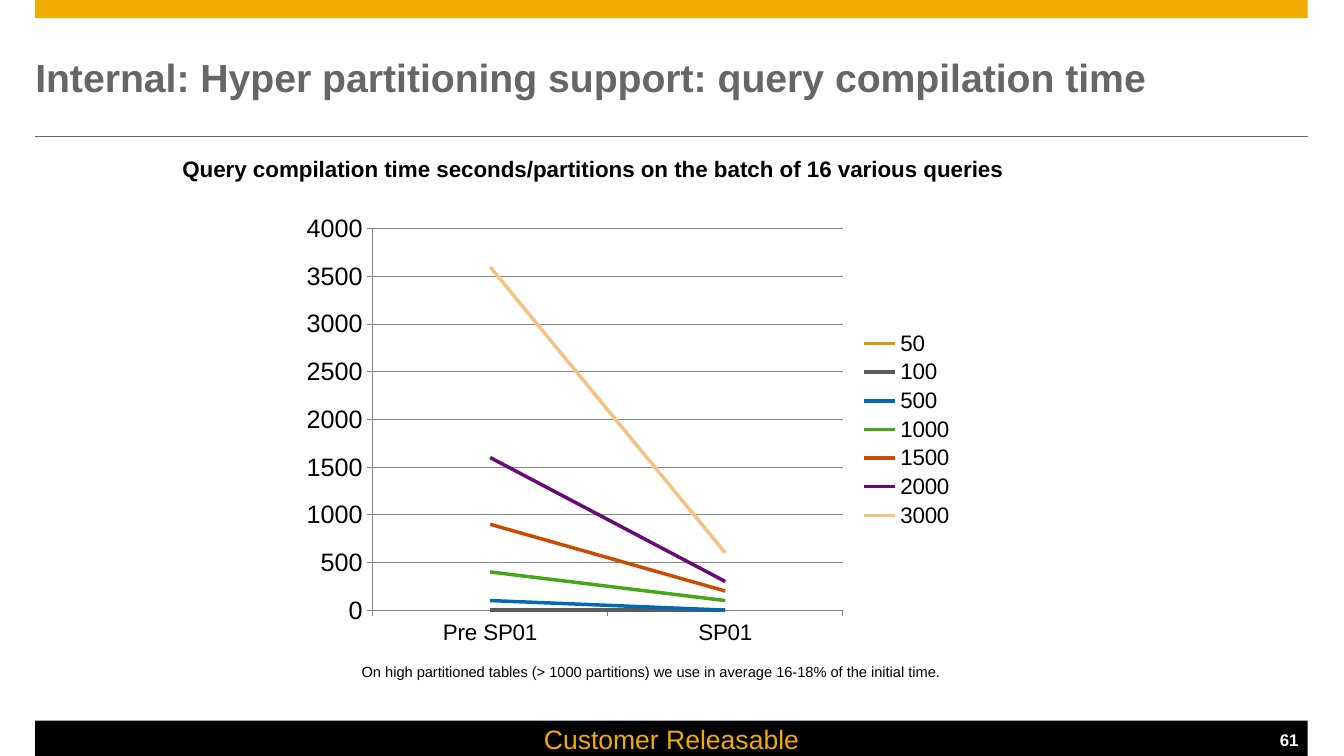
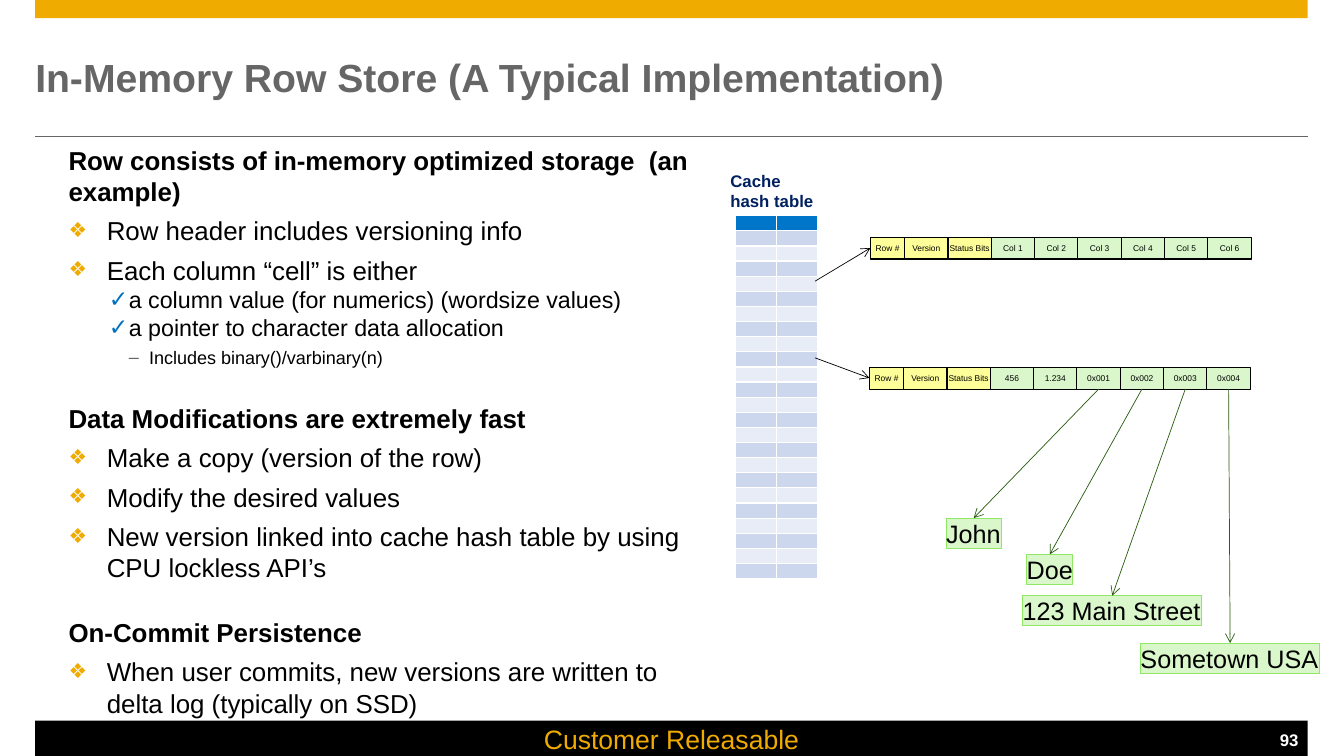
from dataclasses import dataclass

from lxml import etree
from pptx import Presentation
from pptx import util as u
from pptx.chart.data import CategoryChartData
from pptx.dml.color import RGBColor
from pptx.enum import chart as charts, shapes, text
from pptx.oxml.ns import qn
from pptx.shapes.autoshape import Shape
from pptx.slide import Slide, SlideLayout

FONT = "Arial"
BLACK = RGBColor(0, 0, 0)
WHITE = RGBColor(255, 255, 255)
GOLD = RGBColor(0xF0, 0xAB, 0x00)
GREY = RGBColor(0x66, 0x66, 0x66)
GRID_GREY = RGBColor(0x86, 0x86, 0x86)
NAVY = RGBColor(0x00, 0x20, 0x60)
CHECK_BLUE = RGBColor(0x00, 0x70, 0xC0)
HEADER_BLUE = RGBColor(0x00, 0x76, 0xCB)
ROW_BLUES = (RGBColor(0xE7, 0xEC, 0xF6), RGBColor(0xCC, 0xD6, 0xEC))
YELLOW = RGBColor(0xFF, 0xFF, 0x99)
PALE_GREEN = RGBColor(0xDA, 0xF7, 0xCB)
EDGE_GREEN = RGBColor(0x8F, 0xE7, 0x64)
DARK_GREEN = RGBColor(0x28, 0x5C, 0x0E)

LEFT, WIDTH = 0.35, 12.63
NO_INSETS = (0, 0, 0, 0)
Area = tuple[float, float, float, float]
Point = tuple[float, float]


@dataclass(frozen=True)
class Style:
    size: float
    color: RGBColor = BLACK
    bold: bool = False
    align: text.PP_ALIGN = text.PP_ALIGN.LEFT


@dataclass(frozen=True)
class Level:
    """Look of one outline level of a list."""
    size: float
    before: float = 0
    bold: bool = False
    margin: float = 0
    hang: float = 0
    bullet: str = ""
    bullet_color: RGBColor = BLACK
    bullet_percent: int = 100


@dataclass(frozen=True)
class Series:
    name: str
    before: int
    after: int
    color: RGBColor


@dataclass(frozen=True)
class Record:
    left: float
    top: float
    labels: tuple[str, ...]


@dataclass(frozen=True)
class Value:
    caption: str
    area: Area
    cell: int  # record cell that points to the value


TITLE = Style(28, GREY, True)
FOOTER = Style(19, GOLD, align=text.PP_ALIGN.CENTER)
PAGE_NUMBER = Style(12, WHITE, True, text.PP_ALIGN.RIGHT)
CELL = Style(6, align=text.PP_ALIGN.CENTER)

LEVELS = (
    Level(18.5, 24, bold=True),
    Level(18.5, 6, False, 0.38, 0.38, "❖", GOLD, 80),
    Level(16.6, 0, False, 0.6, 0.2, "✓", CHECK_BLUE),
    Level(12.9, 4, False, 0.8, 0.2, "–", GREY),
)
OUTLINE = (
    (0, "Row consists of in-memory optimized storage  (an example)"),
    (1, "Row header includes versioning info"),
    (1, "Each column “cell” is either"),
    (2, "a column value (for numerics) (wordsize values)"),
    (2, "a pointer to character data allocation"),
    (3, "Includes binary()/varbinary(n)"),
    (0, "Data Modifications are extremely fast"),
    (1, "Make a copy (version of the row)"),
    (1, "Modify the desired values"),
    (1, "New version linked into cache hash table by using CPU lockless API’s"),
    (0, "On-Commit Persistence"),
    (1, "When user commits, new versions are written to delta log (typically on SSD)"),
)
SERIES = (
    Series("50", 0, 0, RGBColor(0xD8, 0x9A, 0x00)),
    Series("100", 0, 0, RGBColor(0x5B, 0x5B, 0x5B)),
    Series("500", 100, 0, RGBColor(0x00, 0x6A, 0xB5)),
    Series("1000", 400, 100, RGBColor(0x47, 0xA5, 0x19)),
    Series("1500", 900, 200, RGBColor(0xCB, 0x4C, 0x00)),
    Series("2000", 1600, 300, RGBColor(0x6A, 0x08, 0x77)),
    Series("3000", 3600, 600, RGBColor(0xF4, 0xC3, 0x83)),
)
KEY_WIDTH, CELL_WIDTH, CELL_HEIGHT, KEY_CELLS = 0.34, 0.43, 0.21, 3
KEYS = ("Row #", "Version", "Status Bits")
RECORDS = (
    Record(8.64, 2.36, KEYS + tuple(f"Col {i}" for i in range(1, 7))),
    Record(8.63, 3.65, KEYS + ("456", "1.234", "0x001", "0x002", "0x003", "0x004")),
)
VALUES = (
    Value("John", (9.39, 5.14, 0.55, 0.3), 5),
    Value("Doe", (10.19, 5.5, 0.46, 0.3), 6),
    Value("123 Main Street", (10.15, 5.91, 1.78, 0.3), 7),
    Value("Sometown USA", (11.32, 6.38, 1.78, 0.3), 8),
)


def inches(area: Area) -> list[u.Length]:
    return [u.Inches(length) for length in area]


def set_font(font, size: float, color: RGBColor = BLACK, bold: bool = False) -> None:
    font.name, font.size, font.bold = FONT, u.Pt(size), bold
    font.color.rgb = color


def write(box: Shape, lines: list[str], style: Style, insets: Area = NO_INSETS,
          anchor=text.MSO_ANCHOR.TOP, wrap: bool = True) -> None:
    frame = box.text_frame
    frame.word_wrap, frame.vertical_anchor = wrap, anchor
    frame.auto_size = text.MSO_AUTO_SIZE.NONE
    frame.margin_left, frame.margin_top, frame.margin_right, frame.margin_bottom = inches(insets)
    frame.text = "\n".join(lines)
    for para in frame.paragraphs:
        para.alignment, para.space_before = style.align, u.Pt(0)
        set_font(para.font, style.size, style.color, style.bold)


def add_box(page: Slide, area: Area, fill: RGBColor, edge: RGBColor | None = None) -> Shape:
    box = page.shapes.add_shape(shapes.MSO_SHAPE.RECTANGLE, *inches(area))
    box.shadow.inherit = False
    box.fill.solid()
    box.fill.fore_color.rgb = fill
    if edge is None:
        box.line.fill.background()
    else:
        box.line.color.rgb, box.line.width = edge, u.Pt(0.75)
    return box


def add_line(page: Slide, start: Point, end: Point, color: RGBColor, arrow: bool = True):
    line = page.shapes.add_connector(shapes.MSO_CONNECTOR.STRAIGHT, *inches(start + end))
    line.line.color.rgb, line.line.width = color, u.Pt(0.5)
    if arrow:
        etree.SubElement(line.line._get_or_add_ln(), qn("a:tailEnd"), type="arrow")
    etree.SubElement(line.element.spPr, qn("a:effectLst"))
    return line


def add_text(page: Slide, area: Area, lines: list[str], style: Style, **options) -> None:
    write(page.shapes.add_textbox(*inches(area)), lines, style, **options)


def place(box: Shape, area: Area) -> None:
    box.left, box.top, box.width, box.height = inches(area)


def define_frame(page: Slide, layout: SlideLayout) -> None:
    """Draw the bands and the rule, then keep them on the shared layout."""
    top_band = add_box(page, (LEFT, 0, WIDTH, 0.18), GOLD)
    rule = add_line(page, (LEFT, 1.35), (LEFT + WIDTH, 1.35), GREY, arrow=False)
    bottom_band = add_box(page, (LEFT, 7.15, WIDTH, 0.35), BLACK)
    write(bottom_band, ["Customer Releasable"], FOOTER, anchor=text.MSO_ANCHOR.MIDDLE)
    for part in (top_band, rule, bottom_band):
        layout.shapes.element.append(part.element)
    place(layout.placeholders[0], (LEFT, 0.35, WIDTH, 0.83))


def add_page(deck, layout: SlideLayout, title: str, number: int) -> Slide:
    page = deck.slides.add_slide(layout)
    write(page.shapes.title, [title], TITLE, anchor=text.MSO_ANCHOR.MIDDLE)
    add_text(page, (12.68, 7.24, 0.3, 0.2), [str(number)], PAGE_NUMBER,
             insets=(0, 0, 0.09, 0), wrap=False)
    return page


def set_level(para, level: Level) -> None:
    properties = para._p.get_or_add_pPr()
    properties.set("marL", str(u.Inches(level.margin)))
    properties.set("indent", str(-u.Inches(level.hang)))
    if level.bullet:
        color = etree.SubElement(properties, qn("a:buClr"))
        etree.SubElement(color, qn("a:srgbClr"), val=str(level.bullet_color))
        etree.SubElement(properties, qn("a:buSzPct"), val=str(level.bullet_percent * 1000))
        etree.SubElement(properties, qn("a:buFont"), typeface=FONT)
        etree.SubElement(properties, qn("a:buChar"), char=level.bullet)
    else:
        etree.SubElement(properties, qn("a:buNone"))


def fill_outline(body: Shape) -> None:
    frame = body.text_frame
    frame.auto_size, frame.vertical_anchor = text.MSO_AUTO_SIZE.NONE, text.MSO_ANCHOR.TOP
    for index, (depth, wording) in enumerate(OUTLINE):
        para = frame.add_paragraph() if index else frame.paragraphs[0]
        level = LEVELS[depth]
        para.text, para.level = wording, depth
        set_level(para, level)
        para.alignment = text.PP_ALIGN.LEFT
        para.space_before = u.Pt(level.before if index else 0)
        set_font(para.font, level.size, bold=level.bold)


def add_time_chart(page: Slide) -> None:
    data = CategoryChartData(number_format="General")
    data.categories = ["Pre SP01", "SP01"]
    for series in SERIES:
        data.add_series(series.name, (series.before, series.after))
    chart = page.shapes.add_chart(charts.XL_CHART_TYPE.LINE,
                                  *inches((2.91, 2.04, 6.67, 4.44)), data).chart
    set_font(chart.font, 18)
    chart.has_title = False
    chart.has_legend = True
    chart.legend.position = charts.XL_LEGEND_POSITION.RIGHT
    chart.legend.include_in_layout = False
    set_font(chart.legend.font, 16)
    for axis, size in ((chart.category_axis, 16), (chart.value_axis, 18)):
        axis.major_tick_mark = charts.XL_TICK_MARK.OUTSIDE
        axis.format.line.color.rgb = GRID_GREY
        set_font(axis.tick_labels.font, size)
    chart.value_axis.minimum_scale, chart.value_axis.maximum_scale = 0, 4000
    chart.value_axis.major_unit = 500
    chart.value_axis.major_gridlines.format.line.color.rgb = GRID_GREY
    chart.plots[0].vary_by_categories = False
    for line, series in zip(chart.plots[0].series, SERIES):
        line.smooth = False
        line.format.line.color.rgb, line.format.line.width = series.color, u.Pt(2.5)


def add_hash_table(page: Slide) -> None:
    rows, columns = 24, 2
    table = page.shapes.add_table(rows, columns, *inches((7.3, 2.14, 0.82, 3.6))).table
    for row in table.rows:
        row.height = u.Inches(0.15)
    for index, cell in enumerate(table.iter_cells()):
        row_index = index // columns
        cell.margin_left = cell.margin_top = cell.margin_right = cell.margin_bottom = 0
        cell.fill.solid()
        cell.fill.fore_color.rgb = ROW_BLUES[row_index % 2] if row_index else HEADER_BLUE
        # A small end mark keeps the empty rows low
        etree.SubElement(cell.text_frame.paragraphs[0]._p, qn("a:endParaRPr"), sz="600")


def cell_left(record: Record, index: int) -> float:
    return record.left + (KEY_WIDTH + CELL_WIDTH * (index - 1) if index else 0)


def add_record(page: Slide, record: Record) -> None:
    for index, label in enumerate(record.labels):
        width = CELL_WIDTH if index else KEY_WIDTH
        box = add_box(page, (cell_left(record, index), record.top, width, CELL_HEIGHT),
                      YELLOW if index < KEY_CELLS else PALE_GREEN, BLACK)
        write(box, [label], CELL, anchor=text.MSO_ANCHOR.MIDDLE, wrap=False)


def add_value(page: Slide, value: Value, record: Record) -> None:
    left, top, width, _ = value.area
    write(add_box(page, value.area, PALE_GREEN, EDGE_GREEN), [value.caption], Style(18), wrap=False)
    start = (cell_left(record, value.cell) + CELL_WIDTH / 2, record.top + CELL_HEIGHT)
    add_line(page, start, (left + width / 2, top), DARK_GREEN)


def main() -> None:
    deck = Presentation()
    deck.slide_width, deck.slide_height = u.Inches(13.34), u.Inches(7.5)
    layout = deck.slide_layouts[1]

    # Compilation time chart
    page = add_page(deck, layout, "Internal: Hyper partitioning support: query compilation time", 61)
    define_frame(page, layout)
    heading = page.placeholders[1]
    place(heading, (1.71, 1.49, 9.29, 0.45))
    write(heading, ["Query compilation time seconds/partitions on the batch of 16 various queries"],
          Style(16, bold=True), insets=(0.1, 0.05, 0.1, 0.05))
    set_level(heading.text_frame.paragraphs[0], Level(16))
    add_time_chart(page)
    add_text(page, (3.59, 6.58, 5.84, 0.18),
             ["On high partitioned tables (> 1000 partitions) we use in average 16-18% of the initial time."],
             Style(10.5))

    # Row store outline and diagram
    page = add_page(deck, layout, "In-Memory Row Store (A Typical Implementation)", 93)
    place(page.placeholders[1], (0.58, 1.38, 6.38, 5.58))
    fill_outline(page.placeholders[1])
    for record in RECORDS:
        add_record(page, record)
    for value in VALUES:
        add_value(page, value, RECORDS[1])
    add_hash_table(page)
    add_line(page, (8.09, 2.79), (8.64, 2.46), BLACK)
    add_line(page, (8.09, 3.55), (8.63, 3.75), BLACK)
    add_text(page, (7.25, 1.69, 0.87, 0.4), ["Cache", "hash table"], Style(12, NAVY, True))

    deck.save("out.pptx")


if __name__ == "__main__":
    main()
